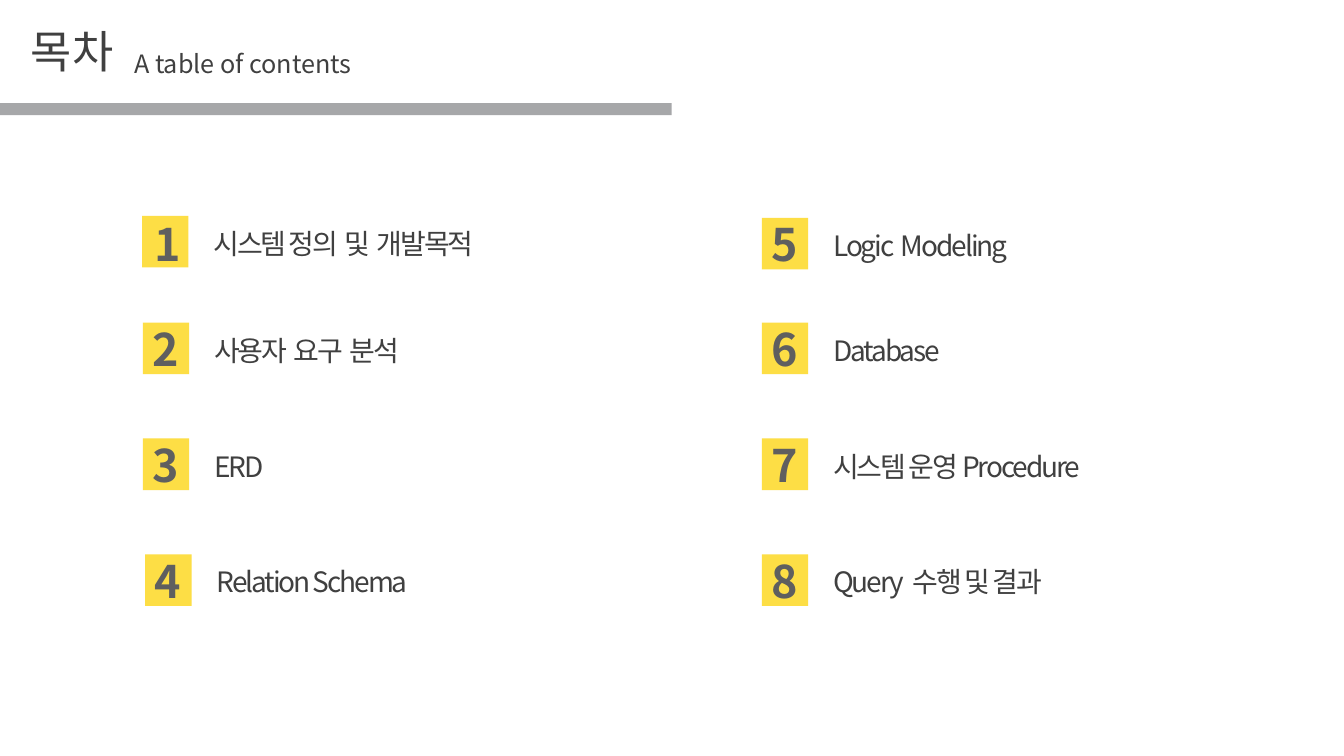
import pptx
import pptx.util
import pptx.dml.color
import pptx.enum.shapes
import pptx.enum.text
import pptx.oxml.ns
import lxml.etree

Cm, Pt = pptx.util.Cm, pptx.util.Pt
RGBColor = pptx.dml.color.RGBColor
ALIGN = pptx.enum.text.PP_ALIGN

# Content: label, left and top of the number tile (cm)
TITLE = "목차"
SUB = "A table of contents"
ITEMS = [
    ("시스템 정의  및  개발목적", 3.58, 5.44),
    ("사용자  요구  분석", 3.6, 8.13),
    ("ERD", 3.6, 11.05),
    ("Relation Schema", 3.66, 13.97),
    ("Logic  Modeling", 19.2, 5.49),
    ("Database", 19.2, 8.13),
    ("시스템 운영 Procedure", 19.2, 11.05),
    ("Query  수행 및 결과", 19.2, 13.97),
]
NUDGE = {1: (0.07, 0.04)}

# Look
FONT = "Noto Sans CJK KR"
INK = RGBColor(0x40, 0x40, 0x40)
GREY = RGBColor(0x5F, 0x5F, 0x5F)
BAR = RGBColor(0xA6, 0xA7, 0xA9)
YELLOW = RGBColor(0xFD, 0xDE, 0x45)
HEAD = {"size": Pt(32), "name": FONT}
SMALL = {"size": Pt(18), "name": FONT}
DIGIT = {"size": Pt(32), "name": FONT, "bold": True}
LABEL = {"size": Pt(20), "name": FONT}


def add_rect(shapes, box, color):
    rect = shapes.add_shape(pptx.enum.shapes.MSO_SHAPE.RECTANGLE,
                            *(Cm(v) for v in box))
    rect.shadow.inherit = False
    rect.fill.solid()
    rect.fill.fore_color.rgb = color
    rect.line.fill.background()


def add_text(shapes, box, text, style, color=INK, wrap=True,
             align=ALIGN.LEFT, track=0):
    frame = shapes.add_textbox(*(Cm(v) for v in box)).text_frame
    frame.word_wrap = wrap
    frame.auto_size = pptx.enum.text.MSO_AUTO_SIZE.SHAPE_TO_FIT_TEXT
    para = frame.paragraphs[0]
    para.alignment = align
    run = para.add_run()
    run.text = text
    for key, value in style.items():
        setattr(run.font, key, value)
    run.font.color.rgb = color
    # Korean font and letter spacing
    props = run.font._element
    east = lxml.etree.SubElement(props, pptx.oxml.ns.qn("a:ea"))
    east.set("typeface", FONT)
    if track:
        props.set("spc", str(track))


deck = pptx.Presentation()
deck.slide_width, deck.slide_height = Cm(33.87), Cm(19.05)
slide = deck.slides.add_slide(deck.slide_layouts[6])

# Heading
add_rect(slide.shapes, (0, 2.6, 16.93, 0.3), BAR)
add_text(slide.shapes, (0.53, 0.48, 2.6, 1.62), TITLE, HEAD, wrap=False)
add_text(slide.shapes, (3.13, 1.09, 9, 1.03), SUB, SMALL)

# Numbered entries
for num, (label, left, top) in enumerate(ITEMS, 1):
    group = slide.shapes.add_group_shape().shapes
    dx, dy = NUDGE.get(num, (0, 0))
    add_rect(group, (left, top, 1.17, 1.3), YELLOW)
    add_text(group, (left - 0.02 + dx, top - 0.15 + dy, 1.19, 1.62),
             str(num), DIGIT, GREY, False, ALIGN.CENTER)
    add_text(group, (left + 1.55, top + 0.14, 10.03, 1.11),
             label, LABEL, track=-150)

deck.save("out.pptx")
